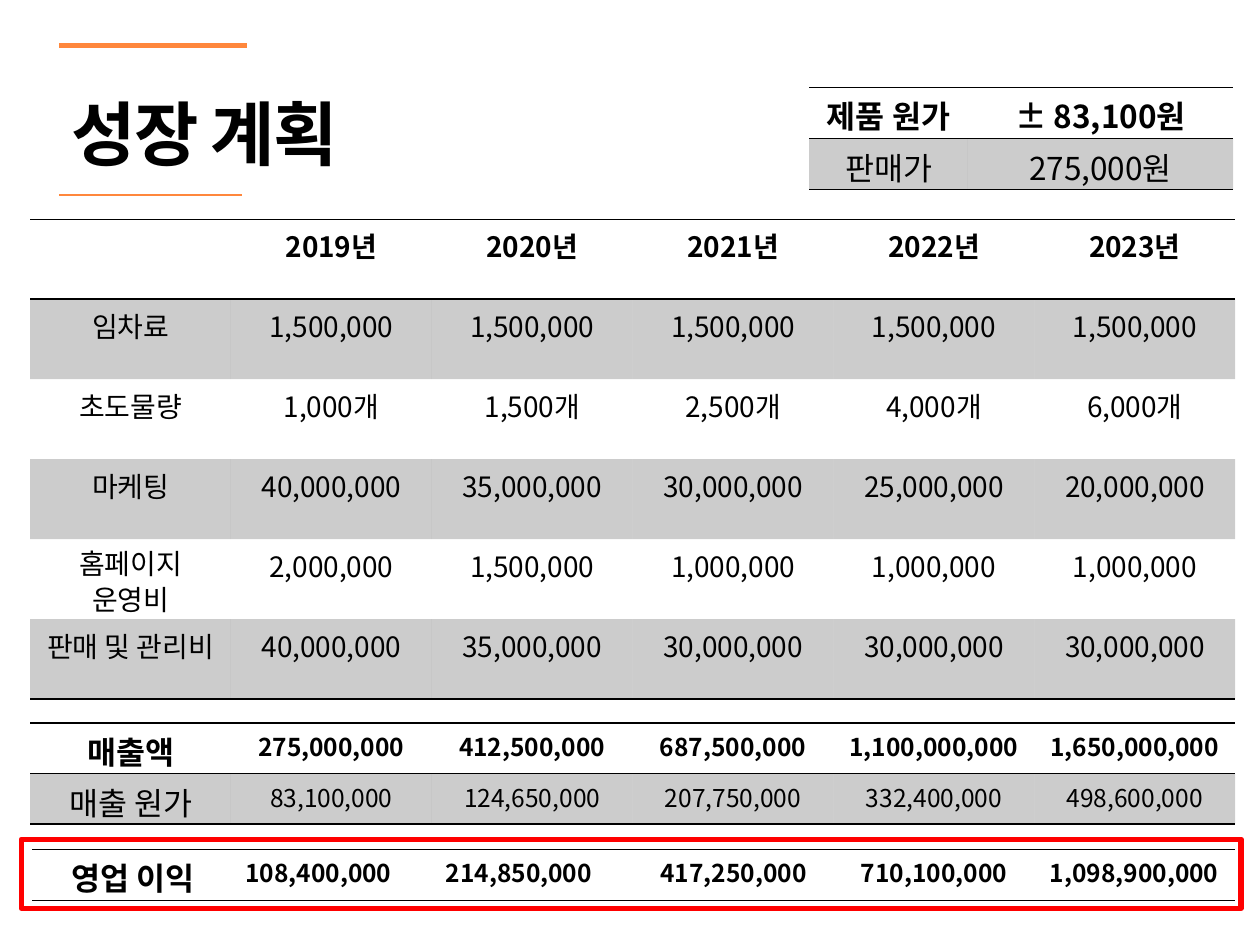
"""Build the growth plan slide with its price, cost and profit tables."""
import pptx
import pptx.dml.color
import pptx.enum.shapes
import pptx.enum.text
import pptx.oxml.ns
import pptx.util
from lxml import etree

Pt = pptx.util.Pt
RGBColor = pptx.dml.color.RGBColor
qn = pptx.oxml.ns.qn
ALIGN = pptx.enum.text.PP_ALIGN
ANCHOR = pptx.enum.text.MSO_ANCHOR

BLACK = RGBColor(0, 0, 0)
ORANGE = RGBColor(0xFF, 0x87, 0x3C)
RED = RGBColor(0xFF, 0, 0)
FONT = "Noto Sans CJK KR"

HEADING = "성장 계획"
ACCENTS = [(141.1, 25.9, 3), (138.2, 111.6, 1)]
COSTS = [
    ["", "2019년", "2020년", "2021년", "2022년", "2023년"],
    ["임차료"] + ["1,500,000"] * 5,
    ["초도물량", "1,000개", "1,500개", "2,500개", "4,000개", "6,000개"],
    ["마케팅", "40,000,000", "35,000,000", "30,000,000", "25,000,000", "20,000,000"],
    ["홈페이지\v운영비", "2,000,000", "1,500,000"] + ["1,000,000"] * 3,
    ["판매 및 관리비", "40,000,000", "35,000,000"] + ["30,000,000"] * 3,
]
SALES = [
    ["매출액", "275,000,000", "412,500,000", "687,500,000", "1,100,000,000", "1,650,000,000"],
    ["매출 원가", "83,100,000", "124,650,000", "207,750,000", "332,400,000", "498,600,000"],
]
PROFIT = [
    ["영업 이익", "108,400,000", "214,850,000", "417,250,000", "710,100,000", "1,098,900,000"],
]
PRICES = [["제품 원가", "± 83,100원"], ["판매가", "275,000원"]]

YEAR_COLUMNS = [114.8] * 6
TABLES = [
    dict(rows=COSTS, left=17.2, top=125.3, columns=YEAR_COLUMNS, height=45.7,
         label_size=16, value_size=16, inset=3.6),
    dict(rows=SALES, left=17.2, top=413.2, columns=YEAR_COLUMNS, height=28.9,
         label_size=18, value_size=14, inset=2.8),
    dict(rows=PROFIT, left=18.5, top=485.3, columns=[114.5] * 6, height=29.2,
         label_size=18, value_size=14, inset=2.8, left_aligned=(1, 2)),
    dict(rows=PRICES, left=462.4, top=50, columns=[90.7, 151.6], height=29.2,
         label_size=18, value_size=18, inset=2.8),
]
PLAIN_TABLE = "{2D5ABB26-0587-4C30-8999-92F81FD0307C}"


def set_all(target, values):
    """Set every attribute in values on target."""
    for name, value in values.items():
        setattr(target, name, value)


def write(paragraph, text, size, bold, align):
    """Fill a paragraph with text in the slide font."""
    paragraph.text = text
    paragraph.alignment = align
    for run in paragraph.runs:
        set_all(run.font, dict(size=Pt(size), bold=bold, name=FONT))
        run.font.color.rgb = BLACK
        etree.SubElement(run.font._element, qn("a:ea"), typeface=FONT)


def add_border(cell, side, position):
    """Draw a thin black line on one side of a cell."""
    border = etree.Element(qn("a:" + side), w=str(Pt(1)))
    fill = etree.SubElement(border, qn("a:solidFill"))
    etree.SubElement(fill, qn("a:srgbClr"), val=str(BLACK))
    cell._tc.get_or_add_tcPr().insert(position, border)


def shade(cell, shaded):
    """Give a cell a translucent black fill or none."""
    if not shaded:
        cell.fill.background()
        return
    cell.fill.solid()
    cell.fill.fore_color.rgb = BLACK
    tint = cell._tc.tcPr.find(".//" + qn("a:srgbClr"))
    etree.SubElement(tint, qn("a:alpha"), val="20000")


def add_grid(slide, rows, left, top, columns, height, label_size, value_size,
             inset, left_aligned=()):
    """Add a table with a bold first row and shaded alternate rows."""
    grid = slide.shapes.add_table(
        len(rows), len(columns), Pt(left), Pt(top),
        Pt(sum(columns)), Pt(height * len(rows))).table
    set_all(grid, dict(first_row=False, horz_banding=False))
    grid._tbl.tblPr.find(qn("a:tableStyleId")).text = PLAIN_TABLE
    for column, width in zip(grid.columns, columns):
        column.width = Pt(width)
    for r, row in enumerate(rows):
        grid.rows[r].height = Pt(height)
        for c, text in enumerate(row):
            cell = grid.cell(r, c)
            set_all(cell, dict(margin_top=Pt(inset), margin_bottom=Pt(0)))
            paragraph = cell.text_frame.paragraphs[0]
            write(paragraph, text, value_size if c else label_size, r == 0,
                  ALIGN.LEFT if c in left_aligned else ALIGN.CENTER)
            if "\v" in text:
                paragraph.line_spacing = 0.9
            shade(cell, r % 2 == 1)
            if r in (0, len(rows) - 1):
                add_border(cell, "lnB", 0)
            if r == 0:
                add_border(cell, "lnT", 0)


def add_accent(slide, right, top, weight):
    """Add an orange rule beside the heading."""
    accent = slide.shapes.add_connector(
        pptx.enum.shapes.MSO_CONNECTOR.STRAIGHT,
        Pt(right), Pt(top), Pt(33.8), Pt(top))
    accent.line.color.rgb = ORANGE
    accent.line.width = Pt(weight)
    etree.SubElement(accent._element.spPr, qn("a:effectLst"))


def add_heading(slide):
    """Add the slide heading."""
    heading = slide.shapes.add_textbox(Pt(33.8), Pt(30.2), Pt(248.4), Pt(81.4))
    set_all(heading.text_frame, dict(word_wrap=True, vertical_anchor=ANCHOR.MIDDLE))
    paragraph = heading.text_frame.paragraphs[0]
    write(paragraph, HEADING, 40, True, ALIGN.LEFT)
    paragraph.line_spacing = 1.2
    paragraph.runs[0].font._element.set("spc", "-100")


def add_profit_frame(slide):
    """Add the red frame around the operating profit."""
    frame = slide.shapes.add_shape(
        pptx.enum.shapes.MSO_SHAPE.RECTANGLE,
        Pt(12.2), Pt(479.5), Pt(697), Pt(39.6))
    frame.shadow.inherit = False
    frame.fill.background()
    frame.line.color.rgb = RED
    frame.line.width = Pt(3)


def main():
    """Assemble and save the slide."""
    deck = pptx.Presentation()
    set_all(deck, dict(slide_width=Pt(720), slide_height=Pt(540)))
    slide = deck.slides.add_slide(deck.slide_layouts[6])
    for accent in ACCENTS:
        add_accent(slide, *accent)
    add_heading(slide)
    for table in TABLES:
        add_grid(slide, **table)
    add_profit_frame(slide)
    deck.save("out.pptx")


if __name__ == "__main__":
    main()
